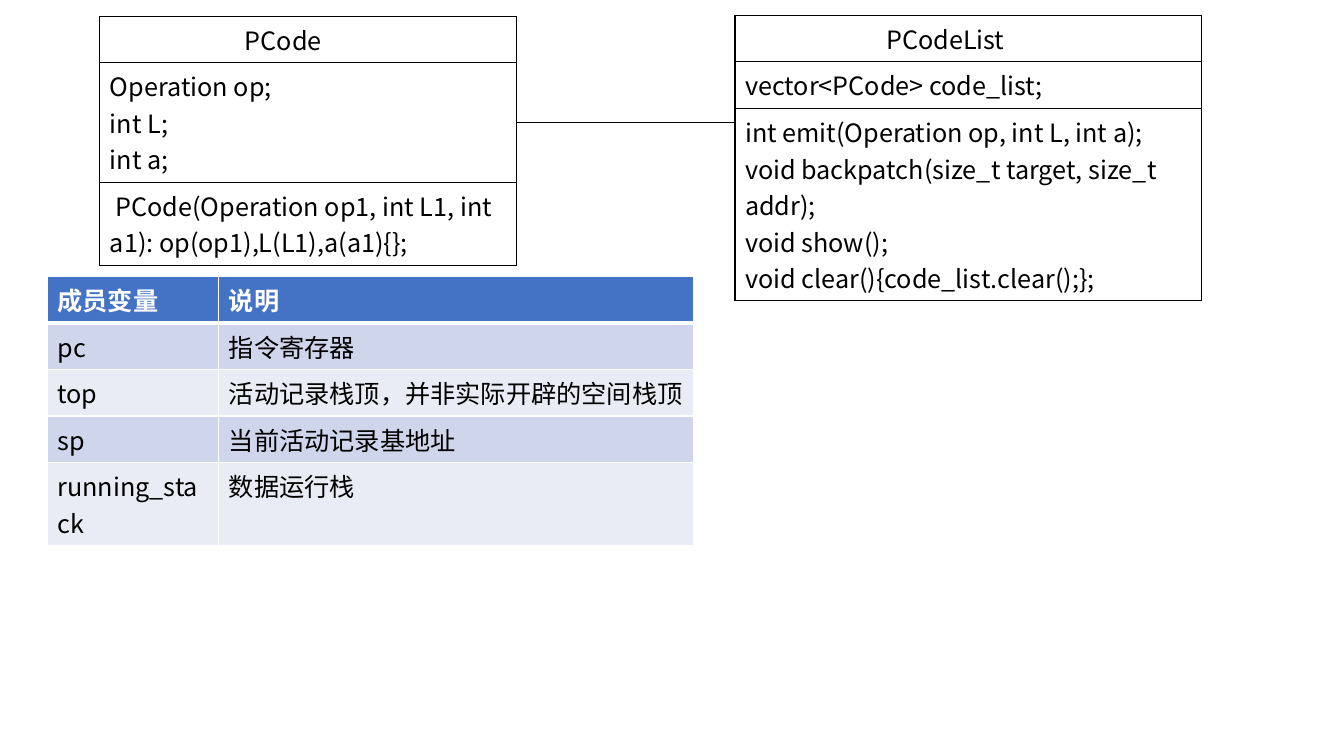
"""Builds a slide with two class boxes, their link and a table of member variables."""
import pptx
import pptx.dml.color
import pptx.enum.shapes
import pptx.oxml
import pptx.oxml.ns
import pptx.util
from lxml import etree

Inches, Pt = pptx.util.Inches, pptx.util.Pt
RGB = pptx.dml.color.RGBColor
qn = pptx.oxml.ns.qn

FONT = "Noto Sans CJK SC"
COLORS = {"ink": "000000", "paper": "FFFFFF", "head": "4472C4", "odd": "CFD5EA", "even": "E9EBF5"}
ROW = 0.41

CLASSES = [
    {"at": (0.99, 0.16), "width": 4.13, "inset": 1.44, "rows": [
        ["PCode"],
        ["Operation op;", "int L;", "int a;"],
        ["\u00a0PCode(Operation op1, int L1, int a1): op(op1),L(L1),a(a1){};"]]},
    {"at": (7.29, 0.15), "width": 4.63, "inset": 1.5, "rows": [
        ["PCodeList"],
        ["vector<PCode> code_list;"],
        ["int emit(Operation op, int L, int a);",
         "void backpatch(size_t target, size_t addr);",
         "void show();",
         "void clear(){code_list.clear();};"]]},
]
MEMBERS = [
    ("成员变量", "说明"),
    ("pc", "指令寄存器"),
    ("top", "活动记录栈顶，并非实际开辟的空间栈顶"),
    ("sp", "当前活动记录基地址"),
    ("running_stack", "数据运行栈"),
]


def write(frame, lines, color="ink", size=18, bold=False):
    frame.word_wrap = True
    for i, line in enumerate(lines):
        para = frame.add_paragraph() if i else frame.paragraphs[0]
        run = para.add_run()
        run.text = line
        run.font.size, run.font.bold, run.font.name = Pt(size), bold, FONT
        run.font.color.rgb = RGB.from_string(COLORS[color])
        east = etree.SubElement(run.font._element, qn("a:ea"))
        east.set("typeface", FONT)


def border(cell, color, **widths):
    props = cell._tc.get_or_add_tcPr()
    for i, side in enumerate("LRTB"):
        line = etree.Element(qn("a:ln" + side), w=str(Pt(widths.get(side, 1))))
        fill = etree.SubElement(line, qn("a:solidFill"))
        etree.SubElement(fill, qn("a:srgbClr"), val=COLORS[color])
        props.insert(i, line)


def grid(slide, at, cols, count):
    left, top = at
    frame = slide.shapes.add_table(count, len(cols), Inches(left), Inches(top),
                                   Inches(sum(cols)), Inches(ROW * count))
    for col, width in zip(frame.table.columns, cols):
        col.width = Inches(width)
    return frame.table


def draw_class(slide, at, width, inset, rows):
    table = grid(slide, at, [width], len(rows))
    table.horz_banding = table.first_row = False
    for r, lines in enumerate(rows):
        cell = table.cell(r, 0)
        cell.fill.background()
        border(cell, "ink")
        write(cell.text_frame, lines)
    table.cell(0, 0).margin_left = Inches(inset)


def draw_members(slide):
    table = grid(slide, (0.47, 2.74), [1.7, 4.71], len(MEMBERS))
    for r, texts in enumerate(MEMBERS):
        shade = "head" if r == 0 else "odd" if r % 2 else "even"
        for c, text in enumerate(texts):
            cell = table.cell(r, c)
            cell.fill.solid()
            cell.fill.fore_color.rgb = RGB.from_string(COLORS[shade])
            border(cell, "paper", T=3 if r == 1 else 1, B=1 if r else 3)
            write(cell.text_frame, [text], color="ink" if r else "paper", bold=r == 0)


def draw_link(slide):
    first, second = CLASSES
    start, end = first["at"][0] + first["width"], second["at"][0]
    link = slide.shapes.add_connector(pptx.enum.shapes.MSO_CONNECTOR.STRAIGHT,
                                      Inches(start), Inches(1.21), Inches(end), Inches(1.21))
    link.line.color.rgb = RGB.from_string(COLORS["ink"])
    link.line.width = Pt(0.5)
    etree.SubElement(link._element.spPr, qn("a:effectLst"))


deck = pptx.Presentation()
deck.slide_width, deck.slide_height = Inches(13.33), Inches(7.5)
slide = deck.slides.add_slide(deck.slide_layouts[6])
for box in CLASSES:
    draw_class(slide, **box)
draw_link(slide)
draw_members(slide)
deck.save("out.pptx")
